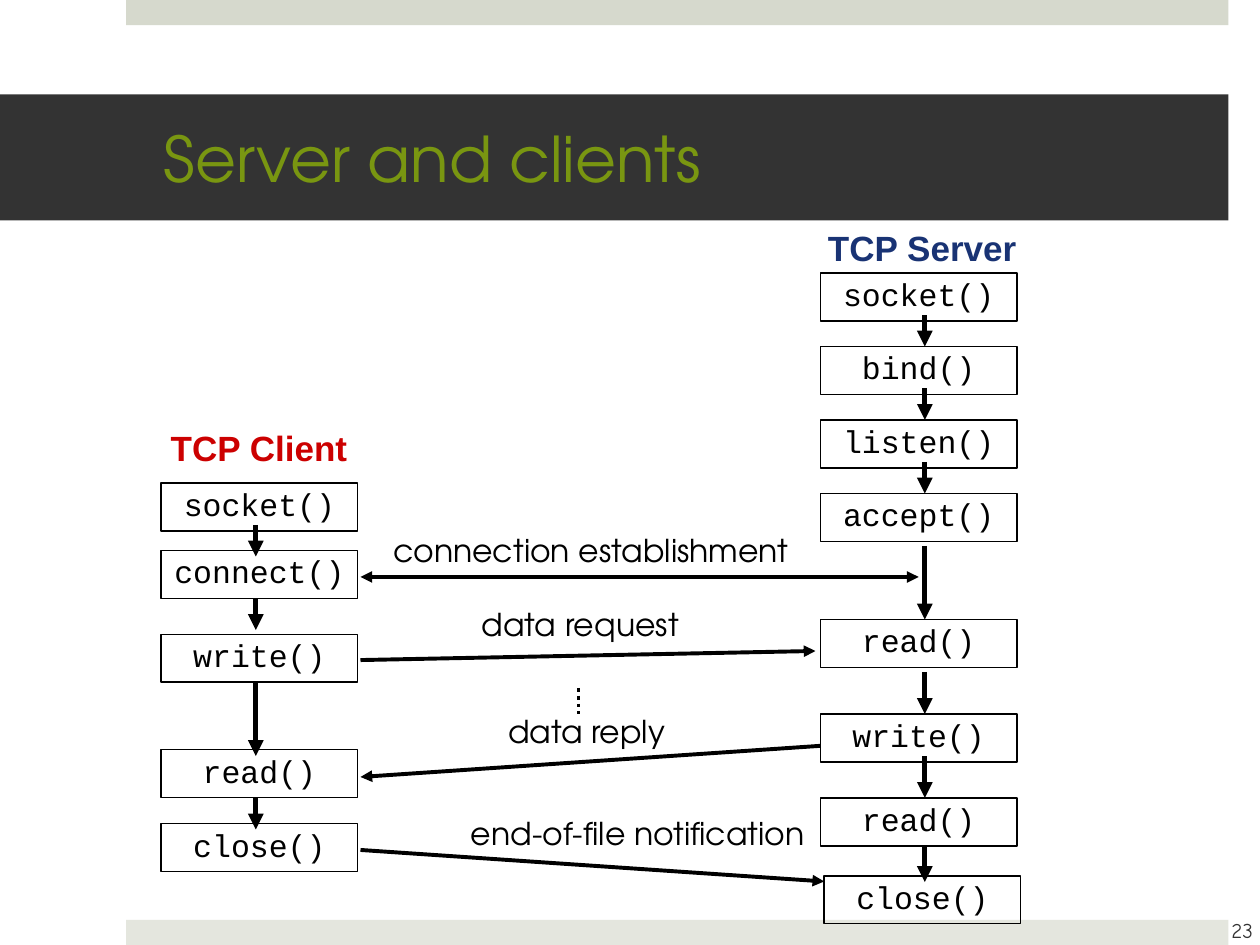
from lxml import etree
from pptx import Presentation
from pptx.dml import color as c
from pptx.enum import dml, shapes, text as t
from pptx.oxml import ns
from pptx.util import Pt

HUES = {"top": "D6D9CD", "foot": "E4E6DE", "bar": "333333", "title": "799611",
        "server": "193374", "client": "CC0000", "ink": "000000"}
HEAD, CODE, LABEL, PAGE = "TeX Gyre Adventor", "Courier New", "Arial", "Comic Neue"
STEP_W, STEP_H = 112.4, 27.4


def hue(name):
    return c.RGBColor.from_string(HUES[name])


def write(shape, words, font, size, tint="ink", align=t.PP_ALIGN.CENTER,
          anchor=t.MSO_ANCHOR.MIDDLE, bold=False):
    frame = shape.text_frame
    frame.text = words
    frame.word_wrap = False
    frame.vertical_anchor = anchor
    par = frame.paragraphs[0]
    par.alignment = align
    face = par.runs[0].font
    face.name, face.size, face.bold = font, Pt(size), bold
    face.color.rgb = hue(tint)
    return frame


def label(slide, box, words, font, size, tint="ink", bold=False, grow=True):
    shape = slide.shapes.add_textbox(*map(Pt, box))
    frame = write(shape, words, font, size, tint, bold=bold)
    if grow:
        frame.auto_size = t.MSO_AUTO_SIZE.SHAPE_TO_FIT_TEXT


def rect(slide, box, fill=None):
    """Add a filled band, or an outlined box when no fill is given."""
    shape = slide.shapes.add_shape(shapes.MSO_SHAPE.RECTANGLE, *map(Pt, box))
    shape.shadow.inherit = False
    if fill:
        shape.fill.solid()
        shape.fill.fore_color.rgb = hue(fill)
        shape.line.fill.background()
    else:
        shape.fill.background()
        shape.line.color.rgb = hue("ink")
        shape.line.width = Pt(0.75)
    return shape


def line(slide, start, end, width, tips=("tailEnd",), dash=None):
    link = slide.shapes.add_connector(
        shapes.MSO_CONNECTOR.STRAIGHT, *map(Pt, (*start, *end)))
    link.line.color.rgb = hue("ink")
    link.line.width = Pt(width)
    if dash:
        link.line.dash_style = dash
    edge = link.line.fill._xPr
    for tip in tips:
        etree.SubElement(edge, ns.qn("a:" + tip), type="triangle")
    etree.SubElement(link._element.spPr, ns.qn("a:effectLst"))


def frame(slide):
    """Draw the bands, the title and the page number."""
    rect(slide, (72, 0, 630, 14.4), "top")
    rect(slide, (72, 525.6, 630, 14.4), "foot")
    bar = rect(slide, (0, 54, 702, 72), "bar")
    body = write(bar, "Server and clients", HEAD, 36, "title", t.PP_ALIGN.LEFT)
    body.word_wrap = True
    body.margin_left, body.margin_right = Pt(93.6), Pt(21.6)
    label(slide, (691.9, 517, 36, 28.8), "23", PAGE, 12, "bar", grow=False)


def column(slide, box, title, tint, inset, axis, steps, flows):
    """Stack call boxes under a title; steps and flows are offsets in the box."""
    left, top, width = box
    label(slide, (left, top, width, 31), title, LABEL, 20, tint, bold=True)
    for name, down, shift in steps:
        shape = rect(slide, (left + inset + shift, top + down, STEP_W, STEP_H))
        body = write(shape, name, CODE, 18, anchor=t.MSO_ANCHOR.TOP)
        body.paragraphs[0].line_spacing = 0.9
    for start, end in flows:
        line(slide, (left + axis, top + start), (left + axis, top + end), 3)


def talk(slide, left, top):
    """Draw the messages that pass between the two columns."""
    both = ("headEnd", "tailEnd")
    links = [((0, 30), (319, 30), both),
             ((0, 77.5), (260, 72.3), both[1:]),
             ((262.8, 126.5), (0, 144.3), both[1:]),
             ((0, 186), (265, 204), both[1:])]
    for start, end, tips in links:
        line(slide, (left + start[0], top + start[1]),
             (left + end[0], top + end[1]), 2.25, tips)
    words = [("connection establishment", 10, 0, 243.4),
             ("data request", 61.2, 42.3, 128.9),
             ("data reply", 76.3, 103.5, 105.8),
             ("end-of-file notification", 54, 161.8, 208.8)]
    for words_in, right, down, width in words:
        label(slide, (left + right, top + down, width, 28.8), words_in, HEAD, 18)
    line(slide, (left + 124.6, top + 93.4), (left + 124.6, top + 108.6), 2.25,
         (), dml.MSO_LINE.ROUND_DOT)


def main():
    deck = Presentation()
    deck.slide_width, deck.slide_height = Pt(720), Pt(540)
    slide = deck.slides.add_slide(deck.slide_layouts[6])
    frame(slide)
    column(slide, (465.8, 126, 122.4), "TCP Server", "server", 2.9, 62.7,
           [("socket()", 30, 0), ("bind()", 72, 0), ("listen()", 114, 0),
            ("accept()", 156, 0), ("read()", 228, 0), ("write()", 282, 0),
            ("read()", 330, 0), ("close()", 374.5, 2.2)],
           [(54, 72), (96, 114), (138, 156), (186, 228), (258, 282),
            (306, 330), (357, 378)])
    column(slide, (90, 240, 116), "TCP Client", "client", 2, 56.2,
           [("socket()", 36, 0), ("connect()", 74.6, 0), ("write()", 122.4, 0),
            ("read()", 188.4, 0), ("close()", 230.7, 0)],
           [(60, 78), (102, 120), (150, 192), (216, 234)])
    talk(slide, 206, 299.7)
    deck.save("out.pptx")


if __name__ == "__main__":
    main()
